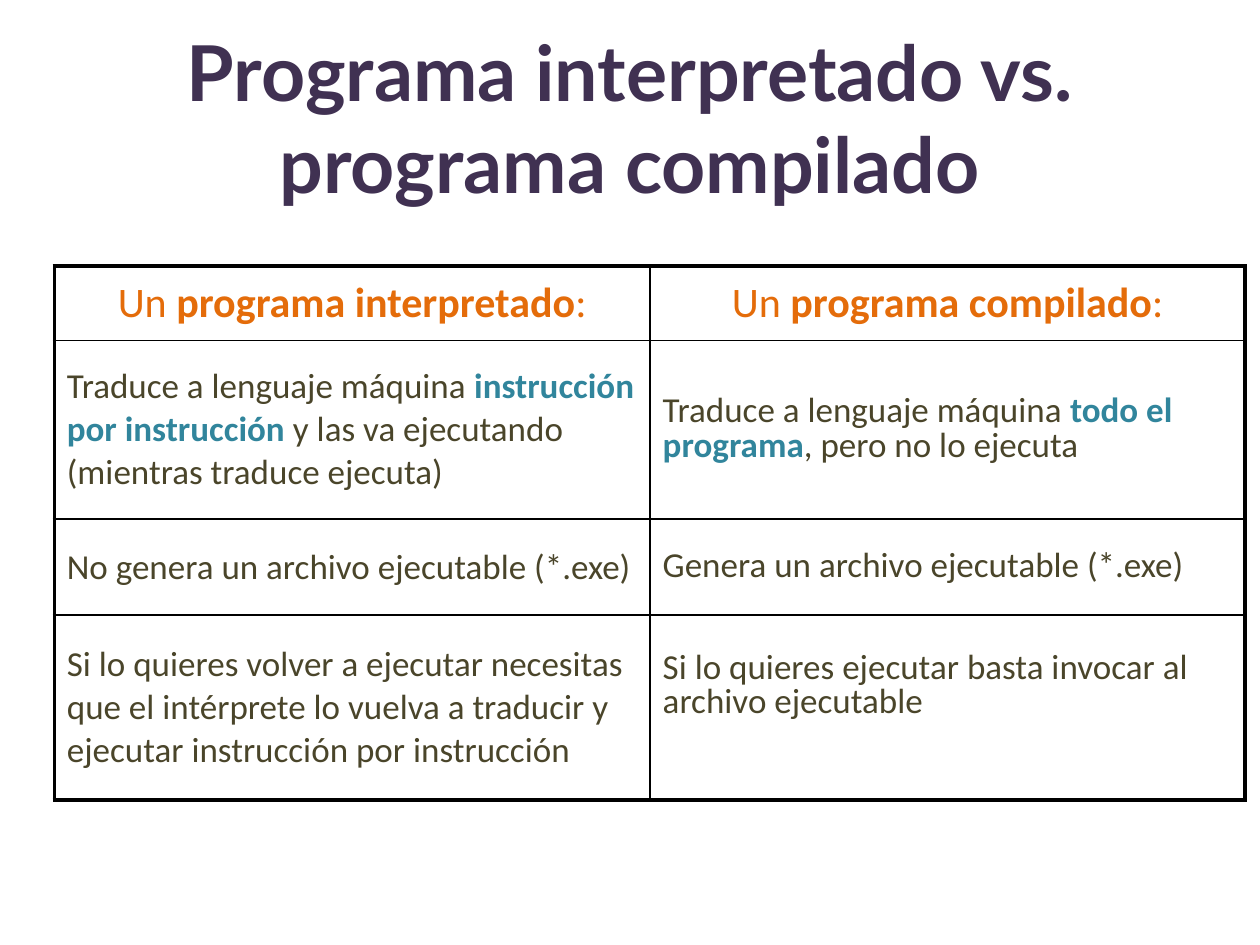
from pptx import Presentation
from pptx.util import Pt
from pptx.dml.color import RGBColor as Rgb
from pptx.enum.text import PP_ALIGN as Align, MSO_ANCHOR as Anchor
from pptx.oxml import parse_xml
from pptx.oxml.ns import nsdecls

COLORS = {"title": "403152", "head": "E46C0A", "body": "4A452A",
          "key": "31859C", "line": "000000", "paper": "FFFFFF"}
COLS = [340.5, 340]
ROWS = [42.5, 102.2, 54.7, 105.8]
CELLS = [
    [["Un ", "*programa interpretado", ":"],
     ["Un ", "*programa compilado", ":"]],
    [["Traduce a lenguaje máquina ", "*instrucción por instrucción ",
      "y las va ejecutando (mientras traduce ejecuta)"],
     ["Traduce a lenguaje máquina ", "*todo el programa",
      ", pero no lo ejecuta"]],
    [["No genera un archivo ejecutable (*.exe)"],
     ["Genera un archivo ejecutable (*.exe)"]],
    [["Si lo quieres volver a ejecutar necesitas que el intérprete lo vuelva "
      "a traducir y ejecutar instrucción por instrucción"],
     ["Si lo quieres ejecutar basta invocar al archivo ejecutable"]],
]


def color(name):
    return Rgb.from_string(COLORS[name])


def style(font, face, size, name):
    font.name = face
    font.size = Pt(size)
    font.color.rgb = color(name)


def add_title(slide, left, top, width, height):
    box = slide.shapes.add_textbox(Pt(left), Pt(top), Pt(width), Pt(height))
    frame = box.text_frame
    frame.word_wrap = True
    frame.vertical_anchor = Anchor.MIDDLE
    para = frame.paragraphs[0]
    para.text = "Programa interpretado vs. programa compilado"
    para.alignment = Align.CENTER
    style(para.font, "Lato", 44, "title")
    para.font.bold = True


def add_edges(cell, outer):
    props = cell._tc.get_or_add_tcPr()
    for i, (side, thick) in enumerate(outer.items()):
        width = Pt(2.25 if thick else 1)
        props.insert(i, parse_xml(
            f'<a:{side} {nsdecls("a")} w="{width}"><a:solidFill>'
            f'<a:srgbClr val="{COLORS["line"]}"/></a:solidFill></a:{side}>'))


def fill_cell(cell, parts, head, tight):
    cell.fill.solid()
    cell.fill.fore_color.rgb = color("paper")
    cell.vertical_anchor = Anchor.MIDDLE
    para = cell.text_frame.paragraphs[0]
    para.alignment = Align.CENTER if head else Align.LEFT
    size = 24 if head else 20
    para.space_before = Pt(size * 0.2)
    if tight:
        para.line_spacing = 0.8
    style(para.font, "Calibri", size, "head" if head else "body")
    for part in parts:
        run = para.add_run()
        run.text = part.removeprefix("*")
        run.font.bold = part.startswith("*")
        if run.font.bold and not head:
            run.font.color.rgb = color("key")


def add_grid(slide, left, top):
    frame = slide.shapes.add_table(len(ROWS), len(COLS), Pt(left), Pt(top),
                                   Pt(sum(COLS)), Pt(sum(ROWS)))
    table = frame.table
    table.first_row = table.horz_banding = False
    for col, width in zip(table.columns, COLS):
        col.width = Pt(width)
    for r, (row, height) in enumerate(zip(table.rows, ROWS)):
        row.height = Pt(height)
        for c, cell in enumerate(row.cells):
            fill_cell(cell, CELLS[r][c], r == 0, r > 0 and c == 1)
            add_edges(cell, {"lnL": c == 0, "lnR": c == len(COLS) - 1,
                             "lnT": r == 0, "lnB": r == len(ROWS) - 1})
    table.cell(len(ROWS) - 1, 1).margin_bottom = Pt(28)


def main():
    deck = Presentation()
    deck.slide_width, deck.slide_height = Pt(720), Pt(540)
    slide = deck.slides.add_slide(deck.slide_layouts[6])
    add_title(slide, 36, 21.6, 648, 90)
    add_grid(slide, 31, 152)
    deck.save("out.pptx")


if __name__ == "__main__":
    main()
